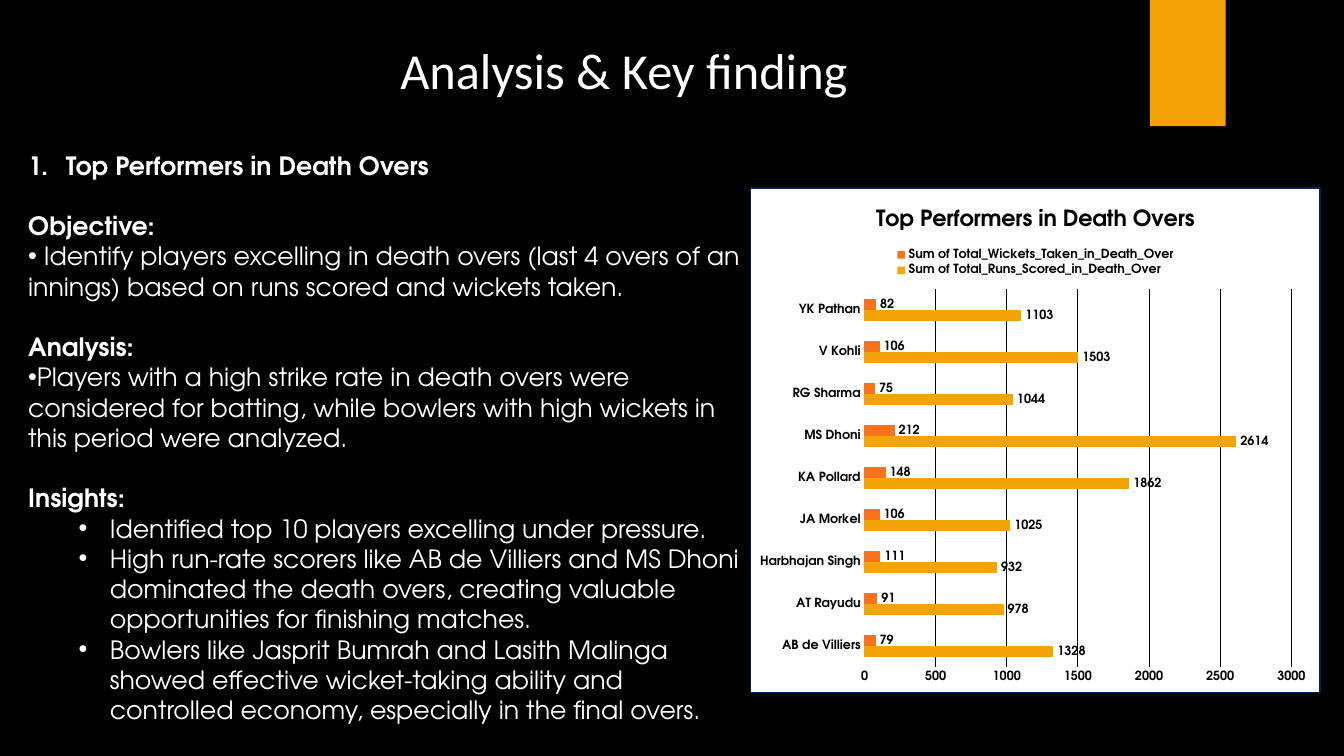
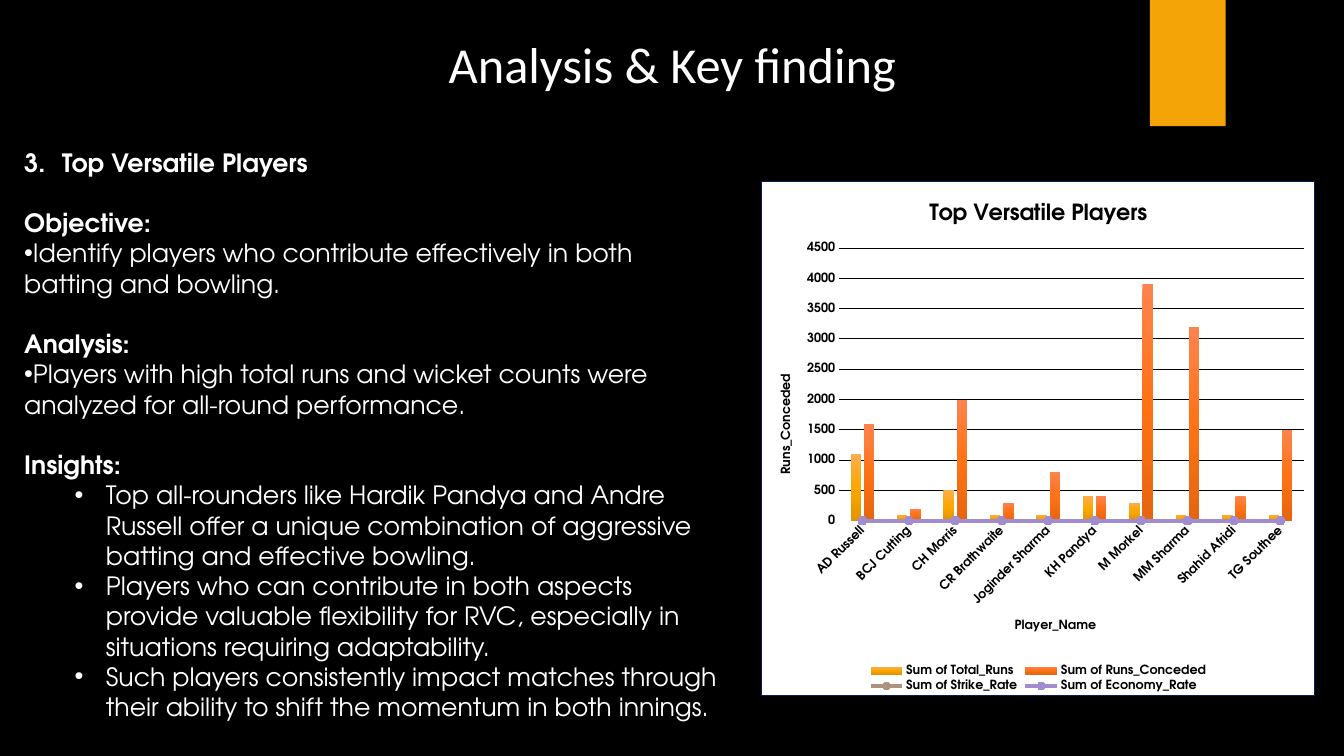
from copy import deepcopy

from pptx import Presentation
from pptx.chart.data import CategoryChartData
from pptx.dml.color import RGBColor
from pptx.enum.chart import (XL_CHART_TYPE, XL_LABEL_POSITION, XL_LEGEND_POSITION,
                             XL_MARKER_STYLE, XL_TICK_MARK)
from pptx.enum.shapes import MSO_SHAPE
from pptx.enum.text import MSO_ANCHOR, MSO_AUTO_SIZE, PP_ALIGN
from pptx.oxml import parse_xml
from pptx.oxml.ns import nsdecls, qn
from pptx.util import Cm, Pt

BLACK = RGBColor(0x00, 0x00, 0x00)
WHITE = RGBColor(0xFF, 0xFF, 0xFF)
AMBER = RGBColor(0xF5, 0xA4, 0x08)
ORANGE = RGBColor(0xFA, 0x73, 0x1A)
NAVY = RGBColor(0x00, 0x20, 0x60)
TAUPE = RGBColor(0xAB, 0x92, 0x81)
LILAC = RGBColor(0xA1, 0x8C, 0xD0)
AMBER_SHADES = (RGBColor(0xFB, 0xAE, 0x4B), RGBColor(0xFD, 0xA7, 0x00), RGBColor(0xE1, 0x94, 0x00))
ORANGE_SHADES = (RGBColor(0xFD, 0x84, 0x4E), RGBColor(0xFF, 0x72, 0x15), RGBColor(0xE5, 0x65, 0x10))

TITLE_FONT = "Calibri"
BODY_FONT = "TeX Gyre Adventor"
TITLE_ONLY = 5
BAR = XL_CHART_TYPE.BAR_CLUSTERED
COLUMN = XL_CHART_TYPE.COLUMN_CLUSTERED
OUTSIDE_END = XL_LABEL_POSITION.OUTSIDE_END
LEGEND_TOP = XL_LEGEND_POSITION.TOP
LEGEND_BOTTOM = XL_LEGEND_POSITION.BOTTOM
CIRCLE = XL_MARKER_STYLE.CIRCLE
NO_TICK = XL_TICK_MARK.NONE
RECTANGLE = MSO_SHAPE.RECTANGLE
MIDDLE = MSO_ANCHOR.MIDDLE
NO_AUTOFIT = MSO_AUTO_SIZE.NONE
CENTER = PP_ALIGN.CENTER

DEATH_OVERS = {
    "heading": "Top Performers in Death Overs",
    "objective": " Identify players excelling in death overs (last 4 overs of an innings) "
                 "based on runs scored and wickets taken.",
    "analysis": "Players with a high strike rate in death overs were considered for batting, "
                "while bowlers with high wickets in this period were analyzed.",
    "insights": (
        "Identified top 10 players excelling under pressure.",
        "High run-rate scorers like AB de Villiers and MS Dhoni dominated the death overs, "
        "creating valuable opportunities for finishing matches.",
        "Bowlers like Jasprit Bumrah and Lasith Malinga showed effective wicket-taking ability "
        "and controlled economy, especially in the final overs.",
    ),
    "players": ("AB de Villiers", "AT Rayudu", "Harbhajan Singh", "JA Morkel", "KA Pollard",
                "MS Dhoni", "RG Sharma", "V Kohli", "YK Pathan"),
    "series": {
        "Sum of Total_Runs_Scored_in_Death_Over":
            (1328, 978, 932, 1025, 1862, 2614, 1044, 1503, 1103),
        "Sum of Total_Wickets_Taken_in_Death_Over":
            (79, 91, 111, 106, 148, 212, 75, 106, 82),
    },
}
VERSATILE = {
    "heading": "Top Versatile Players",
    "objective": "Identify players who contribute effectively in both batting and bowling.",
    "analysis": "Players with high total runs and wicket counts were analyzed for "
                "all-round performance.",
    "insights": (
        "Top all-rounders like Hardik Pandya and Andre Russell offer a unique combination of "
        "aggressive batting and effective bowling.",
        "Players who can contribute in both aspects provide valuable flexibility for RVC, "
        "especially in situations requiring adaptability.",
        "Such players consistently impact matches through their ability to shift the momentum "
        "in both innings.",
    ),
    "players": ("AD Russell", "BCJ Cutting", "CH Morris", "CR Brathwaite", "Joginder Sharma",
                "KH Pandya", "M Morkel", "MM Sharma", "Shahid Afridi", "TG Southee"),
    "series": {
        "Sum of Total_Runs": (1100, 100, 500, 100, 100, 400, 300, 100, 100, 100),
        "Sum of Runs_Conceded": (1600, 200, 2000, 300, 800, 400, 3900, 3200, 400, 1500),
        "Sum of Strike_Rate": (0,) * 10,
        "Sum of Economy_Rate": (0,) * 10,
    },
}


def set_font(font, name, size, color, bold):
    font.name = name
    font.size = Pt(size)
    font.color.rgb = color
    font.bold = bold


def add_span(para, text, name, size, color, bold=False):
    span = para.add_run()
    span.text = text
    set_font(span.font, name, size, color, bold)


def add_page(deck, left, top):
    page = deck.slides.add_slide(deck.slide_layouts[TITLE_ONLY])
    title = page.shapes.title
    title.left, title.top, title.width, title.height = Cm(left), Cm(top), Cm(16.71), Cm(2.16)
    frame = title.text_frame
    frame.auto_size = NO_AUTOFIT
    frame.vertical_anchor = MIDDLE
    para = frame.paragraphs[0]
    para.alignment = CENTER
    add_span(para, "Analysis & Key finding", TITLE_FONT, 36, WHITE)
    band = page.shapes.add_shape(RECTANGLE, Cm(28.98), Cm(0), Cm(1.91), Cm(3.18))
    band.shadow.inherit = False
    band.fill.solid()
    band.fill.fore_color.rgb = AMBER
    band.line.fill.background()
    return page


def set_bullet(para, markup, margin=0.0, hanging=0.0):
    properties = para._p.get_or_add_pPr()
    properties.set("marL", str(Cm(margin)))
    properties.set("indent", str(-Cm(hanging)))
    properties.append(parse_xml(f'<a:buFont {nsdecls("a")} typeface="Arial"/>'))
    properties.append(parse_xml(f'<a:{markup} {nsdecls("a")}/>'))


def add_findings(page, place, topic, number):
    frame = page.shapes.add_textbox(*map(Cm, place)).text_frame
    frame.word_wrap = True
    frame.vertical_anchor = MIDDLE
    heading = frame.paragraphs[0]
    add_span(heading, topic["heading"], BODY_FONT, 18, WHITE, True)
    numbering = f'buAutoNum type="arabicPeriod" startAt="{number}"'
    properties = heading._p.get_or_add_pPr()
    properties.set("marL", str(Cm(0.95)))
    properties.set("indent", str(-Cm(0.95)))
    properties.append(parse_xml(f'<a:{numbering} {nsdecls("a")}/>'))

    sections = (("Objective:", (topic["objective"],), 0, 0, 0),
                ("Analysis:", (topic["analysis"],), 0, 0, 0),
                ("Insights:", topic["insights"], 1, 2.06, 0.79))
    for label, points, level, margin, hanging in sections:
        para = frame.add_paragraph()
        para.space_before = Pt(21.6)
        add_span(para, label, BODY_FONT, 18, WHITE, True)
        for point in points:
            para = frame.add_paragraph()
            para.level = level
            add_span(para, point, BODY_FONT, 18, WHITE)
            set_bullet(para, 'buChar char="•"', margin, hanging)


def style_chart_area(chart, plot_area):
    x, y, width, height = plot_area
    chart._chartSpace.find(qn("c:chart")).addnext(parse_xml(
        f'<c:spPr {nsdecls("c", "a")}><a:solidFill><a:srgbClr val="{WHITE}"/></a:solidFill>'
        f'<a:ln w="{Pt(1)}"><a:solidFill><a:srgbClr val="{NAVY}"/></a:solidFill></a:ln></c:spPr>'))
    area = chart._chartSpace.find(".//" + qn("c:plotArea"))
    for layout in area.findall(qn("c:layout")):
        area.remove(layout)
    area.insert(0, parse_xml(
        f'<c:layout {nsdecls("c")}><c:manualLayout><c:layoutTarget val="inner"/>'
        f'<c:xMode val="edge"/><c:yMode val="edge"/><c:x val="{x}"/><c:y val="{y}"/>'
        f'<c:w val="{width}"/><c:h val="{height}"/></c:manualLayout></c:layout>'))


def style_axes(chart, maximum):
    for axis in (chart.category_axis, chart.value_axis):
        axis.major_tick_mark = axis.minor_tick_mark = NO_TICK
        set_font(axis.tick_labels.font, BODY_FONT, 9, BLACK, True)
    chart.category_axis.has_major_gridlines = False
    chart.category_axis.format.line.color.rgb = WHITE
    values = chart.value_axis
    values.minimum_scale, values.maximum_scale, values.major_unit = 0, maximum, 500
    values.format.line.fill.background()
    values.has_major_gridlines = True
    values.major_gridlines.format.line.color.rgb = BLACK
    values.major_gridlines.format.line.width = Pt(0.75)


def add_player_chart(page, kind, place, topic, plot_area, maximum, legend_place, gap, overlap):
    data = CategoryChartData()
    data.categories = topic["players"]
    for name, values in topic["series"].items():
        data.add_series(name, values)
    chart = page.shapes.add_chart(kind, *map(Cm, place), data).chart
    set_font(chart.font, BODY_FONT, 10, BLACK, True)
    chart.has_title = True
    add_span(chart.chart_title.text_frame.paragraphs[0], topic["heading"],
             BODY_FONT, 16, BLACK, True)
    chart.has_legend = True
    chart.legend.position = legend_place
    chart.legend.include_in_layout = False
    set_font(chart.legend.font, BODY_FONT, 9, BLACK, True)
    plot = chart.plots[0]
    plot.vary_by_categories = False
    plot.gap_width = gap
    plot.overlap = overlap
    style_chart_area(chart, plot_area)
    style_axes(chart, maximum)
    return chart


def label_bars(series, color):
    series.format.fill.solid()
    series.format.fill.fore_color.rgb = color
    labels = series.data_labels
    labels.show_value = True
    labels.position = OUTSIDE_END
    set_font(labels.font, BODY_FONT, 9, BLACK, True)


def shade_bars(series, shades):
    fill = series.format.fill
    fill.gradient()
    fill.gradient_angle = 270
    stop_list = series._element.find(".//" + qn("a:gsLst"))
    stop_list.insert(1, deepcopy(stop_list[0]))
    for stop, color, position in zip(fill.gradient_stops, shades, (0, 0.5, 1)):
        stop.color.rgb = color
        stop.position = position


def move_to_lines(chart, first):
    bars = chart.plots[0]._element
    lines = parse_xml(f'<c:lineChart {nsdecls("c")}><c:grouping val="standard"/>'
                      '<c:varyColors val="0"/></c:lineChart>')
    for series in bars.findall(qn("c:ser"))[first:]:
        for flag in series.findall(qn("c:invertIfNegative")):
            series.remove(flag)
        lines.append(series)
    lines.append(parse_xml(f'<c:marker {nsdecls("c")} val="1"/>'))
    for axis_id in bars.findall(qn("c:axId")):
        lines.append(deepcopy(axis_id))
    bars.addnext(lines)


def style_line(series, color):
    series.smooth = False
    series.format.line.color.rgb = color
    series.format.line.width = Pt(2.75)
    series.marker.style = CIRCLE
    series.marker.size = 6
    series.marker.format.fill.solid()
    series.marker.format.fill.fore_color.rgb = color
    series.marker.format.line.color.rgb = color


def name_axis(axis, text, rotation):
    frame = axis.axis_title.text_frame
    add_span(frame.paragraphs[0], text, BODY_FONT, 9, BLACK, True)
    frame._txBody.find(qn("a:bodyPr")).set("rot", str(rotation * 60000))


def add_death_overs_page(deck):
    page = add_page(deck, 7.37, 0.66)
    add_findings(page, (0.46, 3.35, 18.45, 15.34), DEATH_OVERS, 1)
    chart = add_player_chart(page, BAR, (18.9, 4.72, 14.38, 12.75), DEATH_OVERS,
                             (0.2, 0.2, 0.75, 0.75), 3000, LEGEND_TOP, 182, 0)
    for series, color in zip(chart.plots[0].series, (AMBER, ORANGE)):
        label_bars(series, color)


def add_versatile_page(deck):
    page = add_page(deck, 8.59, 0.51)
    add_findings(page, (0.36, 3.35, 18.14, 15.19), VERSATILE, 3)
    chart = add_player_chart(page, COLUMN, (19.18, 4.55, 13.97, 13), VERSATILE,
                             (0.14, 0.13, 0.84, 0.53), 4500, LEGEND_BOTTOM, 219, -27)
    name_axis(chart.category_axis, "Player_Name", 0)
    name_axis(chart.value_axis, "Runs_Conceded", -90)
    labels = chart.category_axis._element.find(qn("c:txPr"))
    labels.find(qn("a:bodyPr")).set("rot", str(-45 * 60000))
    move_to_lines(chart, 2)
    columns, lines = chart.plots
    for series, shades in zip(columns.series, (AMBER_SHADES, ORANGE_SHADES)):
        shade_bars(series, shades)
    for series, color in zip(lines.series, (TAUPE, LILAC)):
        style_line(series, color)


def main():
    deck = Presentation()
    deck.slide_width, deck.slide_height = Cm(33.87), Cm(19.05)
    background = deck.slide_master.background.fill
    background.solid()
    background.fore_color.rgb = BLACK
    add_death_overs_page(deck)
    add_versatile_page(deck)
    deck.save("out.pptx")


if __name__ == "__main__":
    main()
